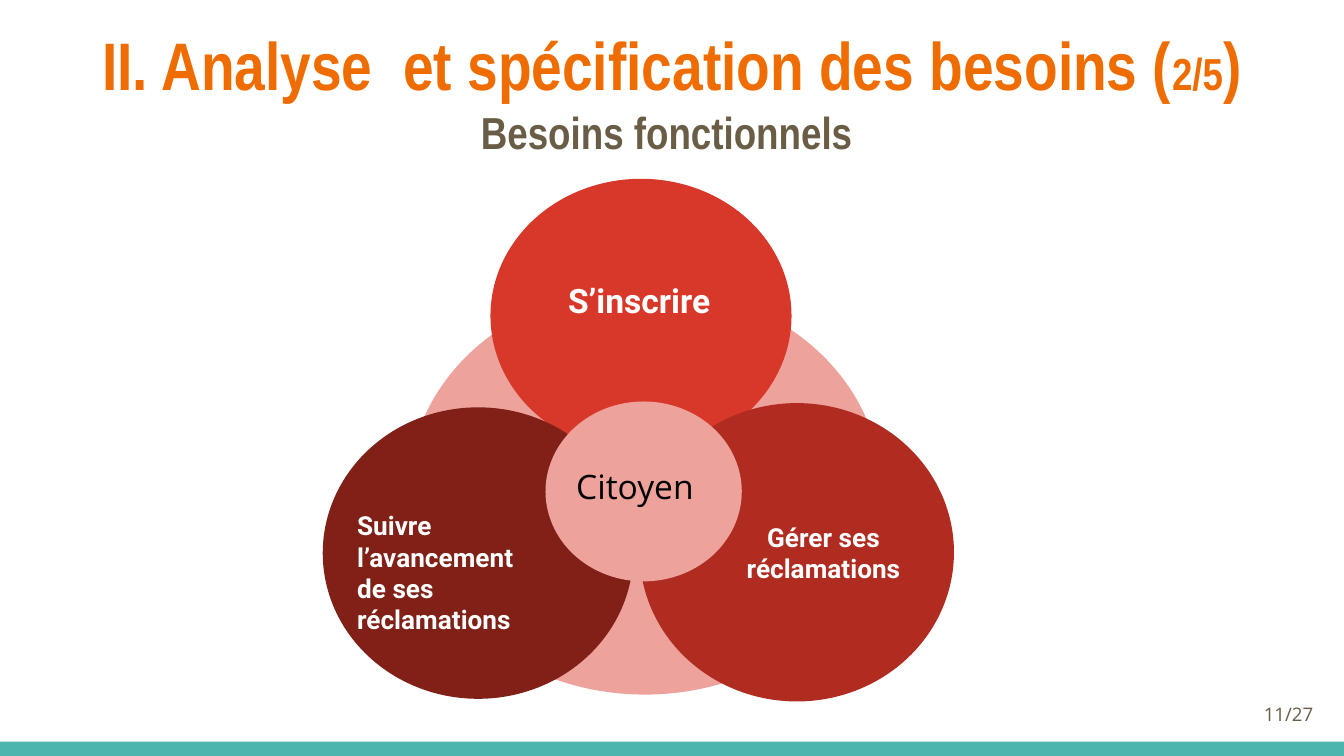
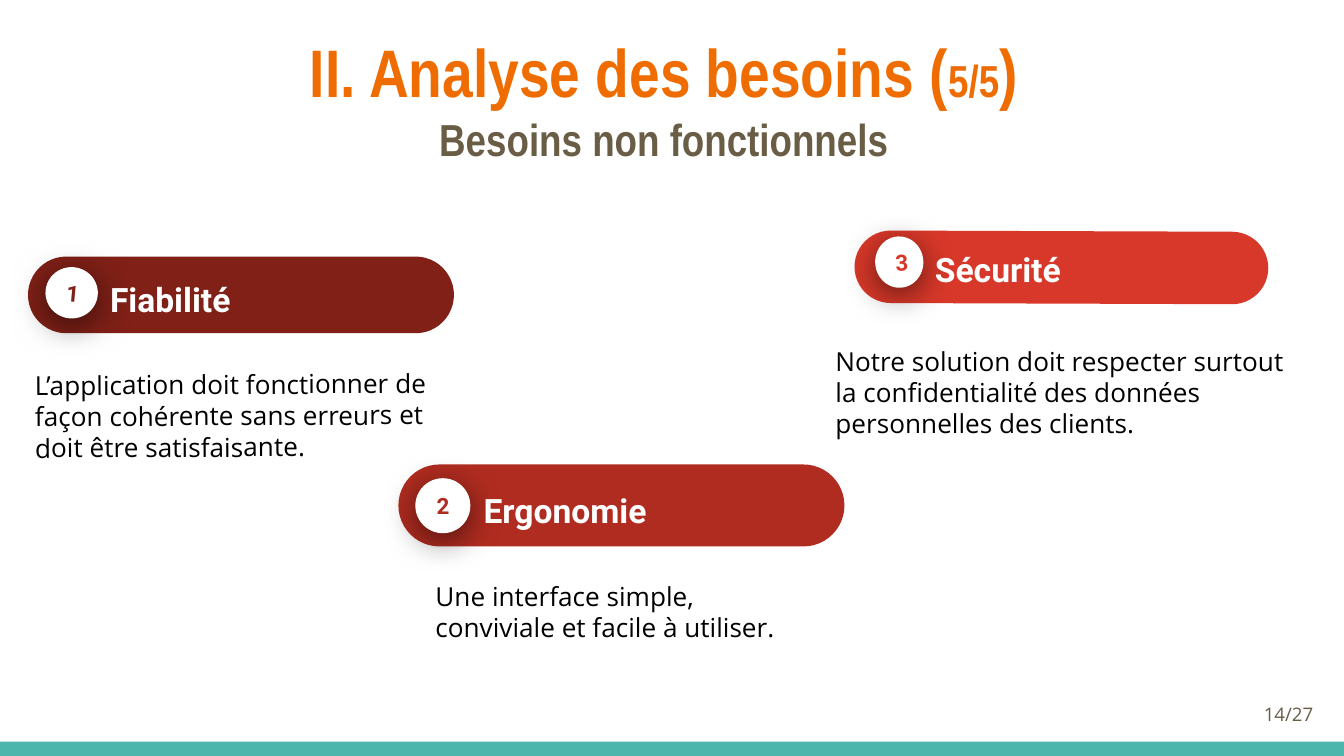
"""Build two slides on functional and non-functional needs."""
from dataclasses import dataclass
from typing import NamedTuple

from lxml import etree
from pptx import Presentation
from pptx import util as u
from pptx.dml.color import RGBColor
from pptx.enum import shapes as es
from pptx.enum import text as et
from pptx.oxml.ns import qn

ORANGE, BROWN, TEAL = "EF6C00", "695D46", "4DB6AC"
RED, BRICK, WINE, PINK = "D83829", "B02C20", "802017", "EDA29B"
WHITE, BLACK = "FFFFFF", "000000"
HEAD, BODY, BOLD = "Arial Narrow", "Open Sans", "Roboto"
OVAL = es.MSO_SHAPE.OVAL
LEFT, MID, RIGHT = et.PP_ALIGN.LEFT, et.PP_ALIGN.CENTER, et.PP_ALIGN.RIGHT
TOP, CENTER = et.MSO_ANCHOR.TOP, et.MSO_ANCHOR.MIDDLE


class Box(NamedTuple):
    """Place in centimetres, with a turn in degrees."""
    x: float
    y: float
    w: float
    h: float
    turn: float = 0


@dataclass
class Petal:
    """Circle of the flower with its label."""
    box: Box
    fill: str
    area: Box
    lines: list[str]
    size: int = 14
    align: et.PP_ALIGN = MID


@dataclass
class Need:
    """Numbered pill with its label and body."""
    name: str
    body: str
    fill: str
    pill: Box
    disc: Box
    label: Box
    area: Box


PETALS = [
    Petal(Box(9.27, 3.38, 5.69, 5.18), RED, Box(10.19, 4.83, 3.94, 1.68),
          ["S’inscrire "], size=18),
    Petal(Box(12.09, 7.62, 5.94, 5.64), BRICK, Box(13.51, 9.53, 4.11, 1.83),
          ["Gérer ses réclamations"]),
    Petal(Box(6.1, 7.7, 5.87, 5.51), WINE, Box(6.5, 9.93, 4.06, 1.78),
          ["Suivre l’avancement", "de ses réclamations"], align=LEFT),
]

NEEDS = [
    Need("Fiabilité",
         "L’application doit fonctionner de façon cohérente sans erreurs "
         "et doit être satisfaisante.", WINE,
         Box(0.53, 4.85, 8.05, 1.45), Box(0.86, 5.05, 0.99, 0.97, 5.1),
         Box(1.83, 5.08, 6.17, 1.02), Box(0.41, 6.71, 8.33, 1.9, 359.7)),
    Need("Ergonomie",
         "Une interface simple, conviviale et facile à utiliser.", BRICK,
         Box(7.53, 8.78, 8.43, 1.55), Box(7.85, 9.04, 1.04, 1.04),
         Box(8.89, 9.04, 6.48, 1.09), Box(7.98, 10.72, 7.57, 1.93)),
    Need("Sécurité",
         "Notre solution doit respecter surtout la confidentialité des "
         "données personnelles des clients.", RED,
         Box(16.15, 4.37, 7.82, 1.37, 0.2), Box(16.54, 4.47, 0.91, 0.97, 356.8),
         Box(17.42, 4.55, 6.02, 0.97, 0.2), Box(15.54, 6.27, 9.22, 2.18)),
]


def rgb(code: str) -> RGBColor:
    """Turn a hex string into a colour."""
    return RGBColor.from_string(code)


def span(box: Box) -> tuple:
    """Give the four lengths of a box."""
    return tuple(u.Cm(v) for v in box[:4])


def write(para, words: str, *, size: float, font: str = BODY, tint: str = BLACK,
          bold: bool = False, align=LEFT, space: float = 1.0) -> None:
    """Add a formatted run to a paragraph."""
    para.alignment, para.line_spacing = align, space
    run = para.add_run()
    run.text = words
    face = run.font
    face.size, face.name, face.bold = u.Pt(size), font, bold
    face.color.rgb = rgb(tint)


def frame(shape, anchor=TOP):
    """Set the insets, wrap and anchor of a text frame."""
    area = shape.text_frame
    area.word_wrap, area.auto_size = True, et.MSO_AUTO_SIZE.NONE
    area.vertical_anchor = anchor
    area.margin_left = area.margin_right = u.Cm(0.25)
    area.margin_top = area.margin_bottom = u.Cm(0.25)
    return area


def draw(slide, kind, box: Box, fill: str):
    """Add a plain filled shape."""
    shape = slide.shapes.add_shape(kind, *span(box))
    shape.rotation = box.turn
    shape.shadow.inherit = False
    shape.fill.solid()
    shape.fill.fore_color.rgb = rgb(fill)
    shape.line.fill.background()
    return shape


def label(slide, box: Box, lines: list[str], anchor=TOP, **form):
    """Add a text box with one paragraph per line."""
    shape = slide.shapes.add_textbox(*span(box))
    shape.rotation = box.turn
    area = frame(shape, anchor)
    for i, line in enumerate(lines):
        para = area.add_paragraph() if i else area.paragraphs[0]
        write(para, line, **form)
    return area


def shade(shape) -> None:
    """Give a shape a soft drop shadow."""
    list_ = shape.element.spPr.find(qn("a:effectLst"))
    drop = etree.SubElement(list_, qn("a:outerShdw"), blurRad=str(u.Pt(18)),
                            dist=str(u.Pt(4)), dir="5400000", rotWithShape="0")
    tone = etree.SubElement(drop, qn("a:srgbClr"), val=BLACK)
    etree.SubElement(tone, qn("a:alpha"), val="55000")


def start(deck, box: Box, head: str, part: str, sub: str, page: str):
    """Add a slide with its title, band and page number."""
    slide = deck.slides.add_slide(deck.slide_layouts[5])
    draw(slide, es.MSO_SHAPE.RECTANGLE, Box(0, 14.02, 25.4, 0.27), TEAL)
    title = slide.shapes.title
    title.left, title.top, title.width, title.height = span(box)
    area = frame(title)
    first, second = area.paragraphs[0], area.add_paragraph()
    for words, size in ((f"{head} (", 36), (part, 24), (")", 36)):
        write(first, words, size=size, font=HEAD, tint=ORANGE, bold=True,
              align=MID)
    write(second, sub, size=24, font=HEAD, tint=BROWN, bold=True, align=MID)
    label(slide, Box(23.55, 12.95, 1.52, 1.09), [page], CENTER, size=10,
          tint=BROWN, align=RIGHT)
    return slide


def flower(slide) -> None:
    """Draw the petals around the citizen."""
    draw(slide, OVAL, Box(7.72, 5.41, 8.94, 7.72), PINK)
    for p in PETALS:
        draw(slide, OVAL, p.box, p.fill)
        label(slide, p.area, p.lines, CENTER, size=p.size, font=BOLD,
              tint=WHITE, bold=True, align=p.align)
    draw(slide, OVAL, Box(10.31, 7.59, 3.71, 3.4), PINK)
    area = label(slide, Box(10.31, 8.56, 3.4, 1.47), ["Citoyen"], size=18)
    area.margin_left = u.Cm(0.58)


def pills(slide) -> None:
    """Draw the numbered needs."""
    for i, n in enumerate(NEEDS, 1):
        pill = draw(slide, es.MSO_SHAPE.ROUNDED_RECTANGLE, n.pill, n.fill)
        pill.adjustments[0] = 0.5
        disc = draw(slide, OVAL, n.disc, WHITE)
        shade(disc)
        write(frame(disc, CENTER).paragraphs[0], str(i), size=12, font=BOLD,
              tint=n.fill, bold=True, align=MID)
        label(slide, n.label, [n.name], CENTER, size=18, font=BOLD,
              tint=WHITE, bold=True, space=1.15)
        label(slide, n.area, [n.body], size=14)


def main() -> None:
    """Build and save the deck."""
    deck = Presentation()
    deck.slide_width, deck.slide_height = u.Cm(25.4), u.Cm(14.29)
    flower(start(deck, Box(0.86, 0.2, 23.67, 2.57),
                 "II. Analyse  et spécification des besoins", "2/5",
                 "Besoins fonctionnels ", "11/27"))
    pills(start(deck, Box(0.71, 0.33, 23.67, 2.87),
                "II. Analyse des besoins", "5/5",
                "Besoins non fonctionnels", "14/27"))
    deck.save("out.pptx")


if __name__ == "__main__":
    main()
